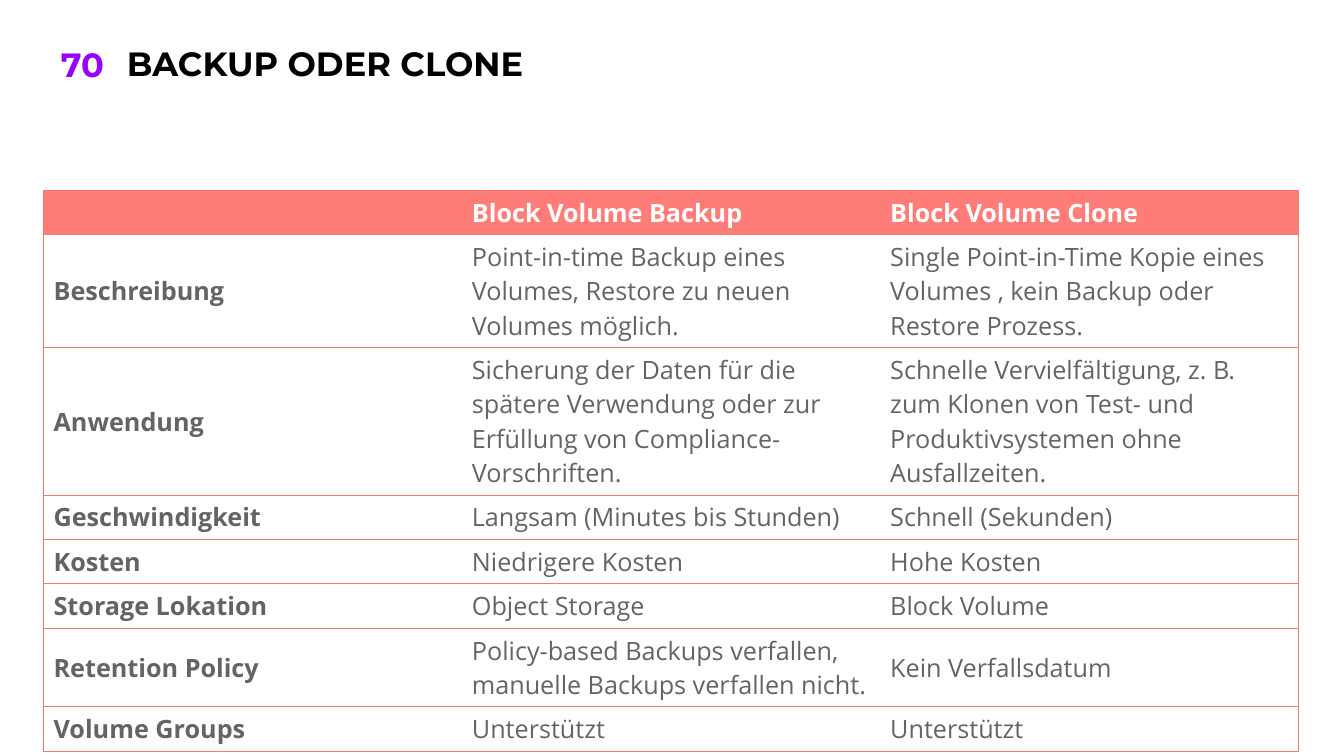
from lxml import etree
from pptx import Presentation
from pptx.dml.color import RGBColor
from pptx.enum.text import MSO_ANCHOR as ANCHOR, PP_ALIGN as ALIGN
from pptx.oxml.ns import qn
from pptx.util import Pt

NUMBER, TITLE = "70", "BACKUP ODER CLONE"
ROWS = [
    ("", "Block Volume Backup", "Block Volume Clone"),
    ("Beschreibung",
     "Point-in-time Backup eines Volumes, Restore zu neuen Volumes möglich.",
     "Single Point-in-Time Kopie eines Volumes , kein Backup oder Restore Prozess."),
    ("Anwendung",
     "Sicherung der Daten für die spätere Verwendung oder zur Erfüllung von "
     "Compliance-Vorschriften.",
     "Schnelle Vervielfältigung, z. B. zum Klonen von Test- und "
     "Produktivsystemen ohne Ausfallzeiten."),
    ("Geschwindigkeit", "Langsam (Minutes bis Stunden)", "Schnell (Sekunden)"),
    ("Kosten", "Niedrigere Kosten", "Hohe Kosten"),
    ("Storage Lokation", "Object Storage", "Block Volume"),
    ("Retention Policy",
     "Policy-based Backups verfallen, manuelle Backups verfallen nicht.",
     "Kein Verfallsdatum"),
    ("Volume Groups", "Unterstützt", "Unterstützt"),
]
LINES = [1, 3, 4, 1, 1, 1, 2, 1]
PURPLE, BLACK, WHITE = "9601FF", "000000", "FFFFFF"
GREY, CORAL, HEADER = "636466", "FA7671", "FF7D78"
COL_W, LINE_H, CELL_PAD = 298.8, 24.5, 7.2


def rgb(value):
    return RGBColor.from_string(value)


def write(tf, text, color, **font):
    p = tf.paragraphs[0]
    r = p.add_run()
    r.text = text
    r.font.color.rgb = rgb(color)
    for name, value in font.items():
        setattr(r.font, name, value)
    return p


def add_heading(s, text, left, top, width, color, align):
    tf = s.shapes.add_textbox(Pt(left), Pt(top), Pt(width), Pt(34.8)).text_frame
    tf.word_wrap = True
    tf.vertical_anchor = ANCHOR.MIDDLE
    p = write(tf, text, color, name="Montserrat", size=Pt(24), bold=True)
    p.alignment, p.line_spacing = align, 0.9
    return tf


def set_borders(cell, visible):
    """Draw the sides named in visible (L, R, T, B) and clear the others."""
    tc_pr = cell._tc.get_or_add_tcPr()
    for side in "LRTB":
        ln = etree.SubElement(tc_pr, qn(f"a:ln{side}"), w=str(Pt(0.75)))
        if side in visible:
            fill = etree.SubElement(ln, qn("a:solidFill"))
            etree.SubElement(fill, qn("a:srgbClr"), val=CORAL)
        else:
            etree.SubElement(ln, qn("a:noFill"))


def add_comparison(s):
    n_cols = len(ROWS[0])
    heights = [CELL_PAD + LINE_H * n for n in LINES]
    table = s.shapes.add_table(len(ROWS), n_cols, Pt(31.1), Pt(136),
                               Pt(COL_W * n_cols), Pt(sum(heights))).table
    table.horz_banding = False
    for col in table.columns:
        col.width = Pt(COL_W)
    for i, row in enumerate(ROWS):
        table.rows[i].height = Pt(heights[i])
        for j, text in enumerate(row):
            cell = table.cell(i, j)
            cell.vertical_anchor = ANCHOR.MIDDLE
            set_borders(cell, "TB" + {0: "L", n_cols - 1: "R"}.get(j, ""))
            if i == 0:
                cell.fill.solid()
                cell.fill.fore_color.rgb = rgb(HEADER)
            else:
                cell.fill.background()
            write(cell.text_frame, text, GREY if i else WHITE,
                  name="Open Sans", size=Pt(18), bold=i == 0 or j == 0)


prs = Presentation()
prs.slide_width, prs.slide_height = Pt(960), Pt(540)
s = prs.slides.add_slide(prs.slide_layouts[6])
add_heading(s, NUMBER, 18.7, 30.2, 62.6, PURPLE, ALIGN.RIGHT)
title = add_heading(s, TITLE, 82, 29.5, 845, BLACK, ALIGN.LEFT)
title.margin_left = title.margin_right = Pt(8.6)
add_comparison(s)
prs.save("out.pptx")
